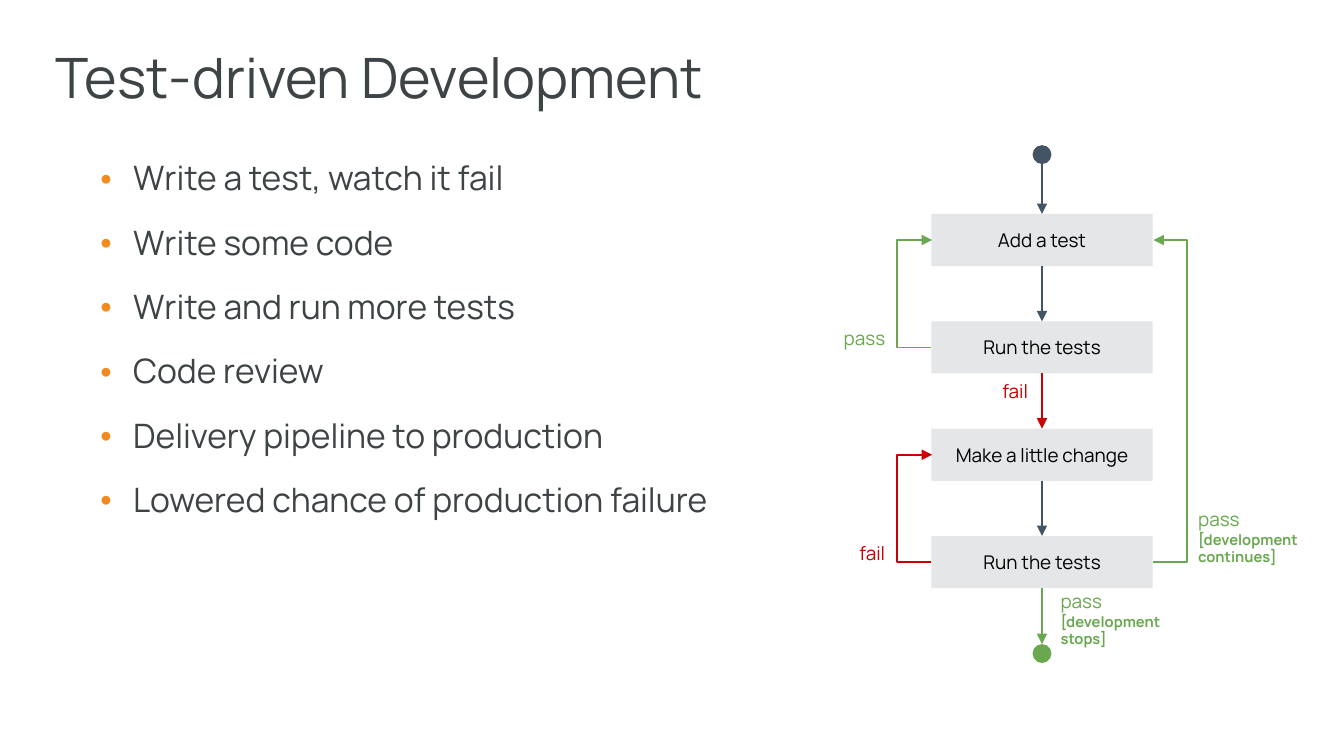
import pptx
import pptx.dml.color
import pptx.enum.shapes
import pptx.enum.text
import pptx.oxml
import pptx.oxml.ns
import pptx.util

Inches = pptx.util.Inches
Pt = pptx.util.Pt
SHAPE = pptx.enum.shapes.MSO_SHAPE
LINK = pptx.enum.shapes.MSO_CONNECTOR
ALIGN = pptx.enum.text.PP_ALIGN
ANCHOR = pptx.enum.text.MSO_ANCHOR
NO_FIT = pptx.enum.text.MSO_AUTO_SIZE.NONE

COLORS = {"text": "3E4346", "bullet": "F18B21", "box": "E4E6E7", "black": "000000",
          "flow": "435464", "fail": "CC0000", "pass": "6AA84F"}
FONT = "Manrope"

BULLETS = ["Write a test, watch it fail", "Write some code", "Write and run more tests",
           "Code review", "Delivery pipeline to production",
           "Lowered chance of production failure"]
STEPS = ["Add a test", "Run the tests", "Make a little change", "Run the tests"]

# Flow chart grid
BOX_X, BOX_Y, BOX_W, BOX_H, PITCH = 12.32, 2.83, 2.93, 0.69, 1.42
MID_X = BOX_X + BOX_W / 2
DOT = 0.25
DETOUR = 0.46
TOP, LEFT, BOTTOM, RIGHT = range(4)


def rgb(name):
    return pptx.dml.color.RGBColor.from_string(COLORS[name])


def apply(obj, values):
    for name, value in values.items():
        setattr(obj, name, value)


def append_xml(parent, tag, inner=""):
    ns = pptx.oxml.ns.nsdecls("a")
    name = tag.split()[0]
    parent.append(pptx.oxml.parse_xml(f"<a:{tag} {ns}>{inner}</a:{name}>"))


def place(sp, x, y, w, h):
    apply(sp, {"left": Inches(x), "top": Inches(y), "width": Inches(w), "height": Inches(h)})


def set_frame(tf, inset, anchor):
    m = Inches(inset)
    apply(tf, {"word_wrap": True, "auto_size": NO_FIT, "vertical_anchor": anchor,
               "margin_left": m, "margin_right": m, "margin_top": m, "margin_bottom": m})


def write(p, text, size, color, bold=False, **layout):
    apply(p, layout)
    r = p.add_run()
    r.text = text
    apply(r.font, {"name": FONT, "size": Pt(size), "bold": bold})
    r.font.color.rgb = rgb(color)


def add_bullet(p):
    pPr = p._p.get_or_add_pPr()
    pPr.set("marL", str(Inches(0.89)))
    pPr.set("indent", str(Inches(-0.44)))
    append_xml(pPr, "buClr", f'<a:srgbClr val="{COLORS["bullet"]}"/>')
    append_xml(pPr, 'buSzPct val="61000"')
    append_xml(pPr, 'buFont typeface="Arial"')
    append_xml(pPr, 'buChar char="●"')


def fill_title(sp, text):
    place(sp, 0.74, 0.67, 16.3, 0.81)
    set_frame(sp.text_frame, 0, ANCHOR.TOP)
    write(sp.text_frame.paragraphs[0], text, 53, "text",
          alignment=ALIGN.LEFT, line_spacing=0.9)


def fill_list(sp, items):
    place(sp, 0.74, 2.01, 9.42, 6.31)
    tf = sp.text_frame
    set_frame(tf, 0.13, ANCHOR.TOP)
    for i, item in enumerate(items):
        p = tf.add_paragraph() if i else tf.paragraphs[0]
        write(p, item, 32, "text", line_spacing=0.9,
              space_before=Pt(8.9), space_after=Pt(17.8))
        add_bullet(p)


def add_solid(s, kind, x, y, w, h, color):
    sp = s.shapes.add_shape(kind, Inches(x), Inches(y), Inches(w), Inches(h))
    sp.shadow.inherit = False
    sp.fill.solid()
    sp.fill.fore_color.rgb = rgb(color)
    sp.line.fill.background()
    return sp


def add_step(s, row, text):
    sp = add_solid(s, SHAPE.RECTANGLE, BOX_X, BOX_Y + row * PITCH, BOX_W, BOX_H, "box")
    set_frame(sp.text_frame, 0.18, ANCHOR.MIDDLE)
    write(sp.text_frame.paragraphs[0], text, 18, "black", alignment=ALIGN.CENTER)
    return sp


def add_dot(s, y, color):
    return add_solid(s, SHAPE.OVAL, MID_X - DOT / 2, y, DOT, DOT, color)


def add_arrow(s, kind, color, y=0):
    cxn = s.shapes.add_connector(kind, Inches(MID_X), Inches(y), Inches(MID_X), Inches(y))
    cxn.line.color.rgb = rgb(color)
    cxn.line.width = Pt(1.5)
    spPr = cxn._element.spPr
    append_xml(spPr.find(pptx.oxml.ns.qn("a:ln")), 'tailEnd type="triangle" w="lg" len="lg"')
    append_xml(spPr, "effectLst")
    return cxn


def add_down_arrow(s, start, end, color):
    cxn = add_arrow(s, LINK.STRAIGHT, color)
    cxn.begin_connect(start, BOTTOM)
    cxn.end_connect(end, TOP)


def add_loop(s, start, end, side, color):
    cxn = add_arrow(s, LINK.ELBOW, color)
    cxn.begin_connect(start, side)
    cxn.end_connect(end, side)
    # The detour is a multiple of the width, so the width must not be zero
    thin = 0.01
    cxn.width = Inches(thin)
    # Runs upward: a half turn with a horizontal flip
    xfrm = cxn._element.spPr.find(pptx.oxml.ns.qn("a:xfrm"))
    xfrm.attrib.pop("flipV", None)
    xfrm.set("rot", "10800000")
    xfrm.set("flipH", "1")
    bend = round(DETOUR / thin * 100000) * (-1 if side == LEFT else 1)
    geom = cxn._element.spPr.find(pptx.oxml.ns.qn("a:prstGeom"))
    for old in list(geom):
        geom.remove(old)
    append_xml(geom, "avLst", f'<a:gd name="adj1" fmla="val {bend}"/>')


def add_label(s, x, y, w, h, word, note=None):
    tf = s.shapes.add_textbox(Inches(x), Inches(y), Inches(w), Inches(h)).text_frame
    set_frame(tf, 0.18, ANCHOR.MIDDLE)
    align = ALIGN.LEFT if note else ALIGN.RIGHT
    write(tf.paragraphs[0], word, 18, word, alignment=align)
    if note:
        write(tf.add_paragraph(), note, 14, word, bold=True, alignment=align)


def main():
    prs = pptx.Presentation()
    apply(prs, {"slide_width": Inches(17.78), "slide_height": Inches(10)})
    s = prs.slides.add_slide(prs.slide_layouts[1])

    # Title and list
    fill_title(s.shapes.title, "Test-driven Development")
    fill_list(s.placeholders[1], BULLETS)

    # Steps with start and end dots
    steps = [add_step(s, row, text) for row, text in enumerate(STEPS)]
    add_dot(s, 1.92, "flow")
    stop = add_dot(s, 8.52, "pass")

    # Downward arrows
    add_arrow(s, LINK.STRAIGHT, "flow", 1.92 + DOT).end_connect(steps[0], TOP)
    for start, end, color in zip(steps, steps[1:] + [stop], ["flow", "fail", "flow", "pass"]):
        add_down_arrow(s, start, end, color)

    # Loops back to earlier steps
    for start, end, side, color in [(1, 0, LEFT, "pass"), (3, 2, LEFT, "fail"),
                                    (3, 0, RIGHT, "pass")]:
        add_loop(s, steps[start], steps[end], side, color)

    # Outcome labels
    add_label(s, 15.67, 6.76, 1.99, 0.68, "pass", "[development continues]")
    add_label(s, 13.85, 8.06, 2.25, 0.25, "pass", "[development stops]")
    for x, y, word in [(10.97, 7.19, "fail"), (12.86, 5.04, "fail"), (10.97, 4.35, "pass")]:
        add_label(s, x, y, 0.92, 0.25, word)

    prs.save("out.pptx")


if __name__ == "__main__":
    main()
